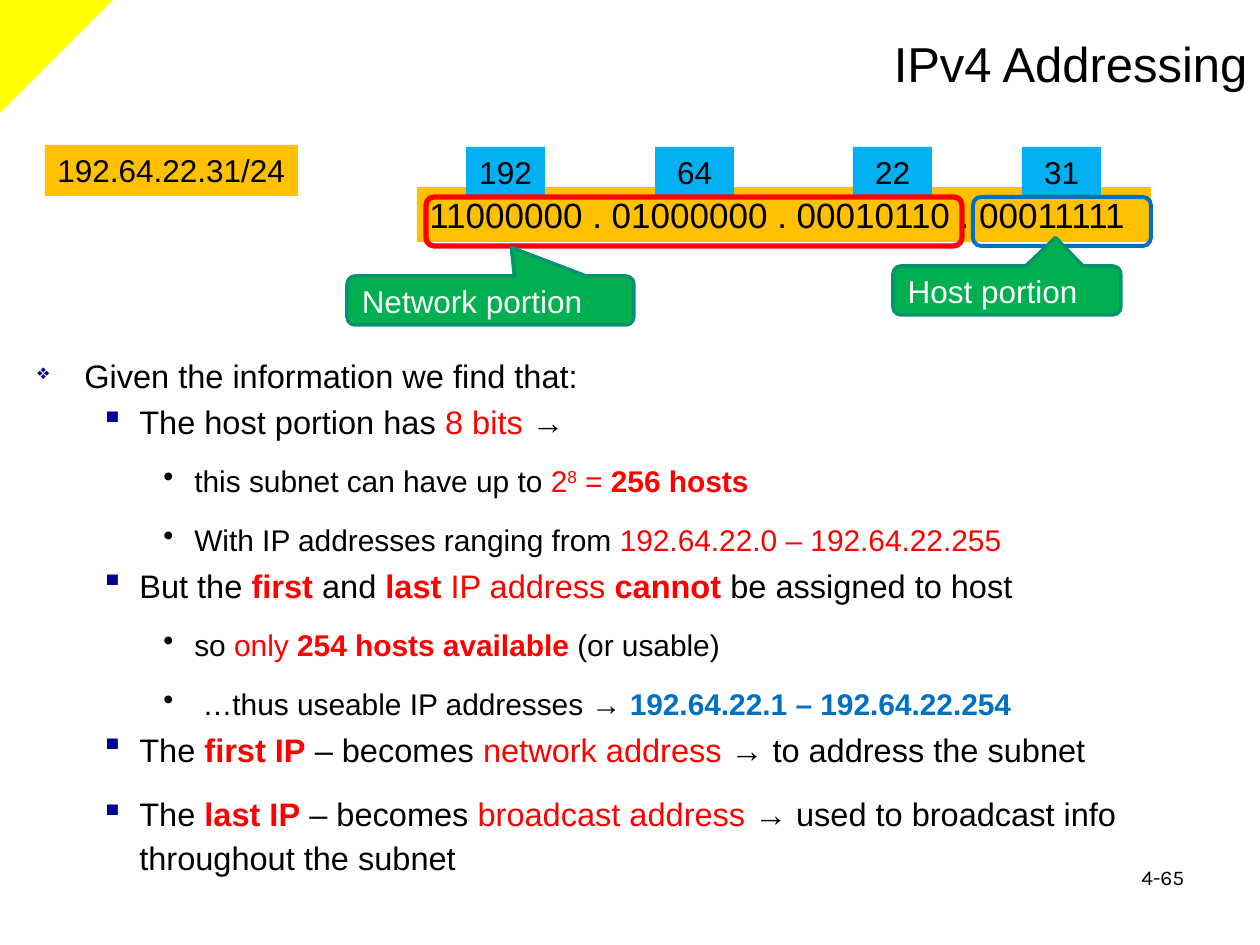
import pptx
import pptx.util
import pptx.dml.color
import pptx.enum.shapes
import pptx.enum.text
import lxml.etree

RGBColor = pptx.dml.color.RGBColor
SHAPE = pptx.enum.shapes.MSO_SHAPE
ALIGN = pptx.enum.text.PP_ALIGN
ANCHOR = pptx.enum.text.MSO_ANCHOR

BLACK = RGBColor(0, 0, 0)
WHITE = RGBColor(255, 255, 255)
RED = RGBColor(255, 0, 0)
BLUE = RGBColor(0x00, 0x70, 0xC0)
SKY = RGBColor(0x00, 0xB0, 0xF0)
NAVY = RGBColor(0, 0, 0x99)
AMBER = RGBColor(0xFF, 0xC0, 0)
YELLOW = RGBColor(255, 255, 0)
GREEN = RGBColor(0x00, 0xB0, 0x50)
TEAL = RGBColor(0x00, 0x94, 0x6F)

PX = 914400 // 126

deck = pptx.Presentation()
deck.slide_width = 1260 * PX
deck.slide_height = 945 * PX
page = deck.slides.add_slide(deck.slide_layouts[5])


def write(box, text, size, color=BLACK, align=ALIGN.LEFT, anchor=ANCHOR.TOP, font="Arial", wrap=True):
    frame = box.text_frame
    frame.word_wrap = wrap
    frame.vertical_anchor = anchor
    para = frame.paragraphs[0]
    para.text = text
    para.alignment = align
    para.font.name = font
    para.font.size = pptx.util.Pt(size)
    para.font.color.rgb = color


def draw(kind, place, fill=None, line=None, width=0):
    shape = page.shapes.add_shape(kind, *[length * PX for length in place])
    shape.shadow.inherit = False
    if fill is None:
        shape.fill.background()
    else:
        shape.fill.solid()
        shape.fill.fore_color.rgb = fill
    if line is None:
        shape.line.fill.background()
    else:
        shape.line.color.rgb = line
        shape.line.width = pptx.util.Pt(width)
    return shape


# Title
title = page.shapes.title
title.left, title.top, title.width, title.height = 620 * PX, 19 * PX, 640 * PX, 87 * PX
title.text_frame.auto_size = pptx.enum.text.MSO_AUTO_SIZE.NONE
write(title, "IPv4 Addressing", 28, align=ALIGN.RIGHT, anchor=ANCHOR.MIDDLE)

# Explanation: level, line spacing, runs of (text, colour, bold)
items = [
    (0, 0.65, [("Given the information we find that:", BLACK, False)]),
    (1, 0.65, [("The host portion has ", BLACK, False), ("8 bits ", RED, False), ("→", BLACK, False)]),
    (2, 1.05, [("this subnet can have up to", BLACK, False), (" 2", RED, False), ("8", RED, False),
               (" = ", RED, False), ("256 hosts", RED, True)]),
    (2, 1.05, [("With IP addresses ranging from ", BLACK, False),
               ("192.64.22.0 – 192.64.22.255", RED, False)]),
    (1, 0.65, [("But the ", BLACK, False), ("first", RED, True), (" and ", BLACK, False),
               ("last", RED, True), (" IP address ", RED, False), ("cannot", RED, True),
               (" be assigned to host", BLACK, False)]),
    (2, 1.05, [("so ", BLACK, False), ("only ", RED, False), ("254 hosts available", RED, True),
               (" (or usable)", BLACK, False)]),
    (2, 1.05, [(" …thus useable IP addresses → ", BLACK, False),
               ("192.64.22.1 – 192.64.22.254", BLUE, True)]),
    (1, 0.65, [("The ", BLACK, False), ("first IP", RED, True), (" – becomes ", BLACK, False),
               ("network address ", RED, False), ("→ to address the subnet", BLACK, False)]),
    (1, 1.14, [("The ", BLACK, False), ("last IP", RED, True), (" – becomes ", BLACK, False),
               ("broadcast address ", RED, False),
               ("→ used to broadcast info throughout the subnet", BLACK, False)]),
]
# Per level: margin px, hanging px, bullet, bullet colour, bullet size %, text size
levels = [
    (47, 47, "❖", NAVY, 65, 18.6),
    (102, 39, "▪", NAVY, 100, 18.6),
    (157, 31, "•", BLACK, 100, 17.1),
]
body = page.shapes.add_textbox(25 * PX, 362 * PX, 1172 * PX, 510 * PX)
body.text_frame.word_wrap = True
for index, (level, spacing, runs) in enumerate(items):
    para = body.text_frame.paragraphs[0] if index == 0 else body.text_frame.add_paragraph()
    margin, hanging, bullet, bullet_color, bullet_size, size = levels[level]
    para.level = level
    properties = para._p.get_or_add_pPr()
    properties.set("marL", str(margin * PX))
    properties.set("indent", str(-hanging * PX))
    for tag, child, value in [("buClr", "srgbClr", str(bullet_color)),
                              ("buSzPct", None, str(bullet_size * 1000)),
                              ("buChar", None, bullet)]:
        element = lxml.etree.SubElement(properties, pptx.oxml.ns.qn("a:" + tag))
        if child:
            element = lxml.etree.SubElement(element, pptx.oxml.ns.qn("a:" + child))
        element.set("char" if tag == "buChar" else "val", value)
    para.line_spacing = spacing
    if index:
        para.space_before = pptx.util.Pt(12)
    para.font.name = "Arial"
    para.font.size = pptx.util.Pt(size)
    for text, color, bold in runs:
        span = para.add_run()
        span.text = text
        span.font.color.rgb = color
        span.font.bold = bold
        if text == "8":
            span._r.get_or_add_rPr().set("baseline", "30000")

# Binary address with its decimal octets
strip = draw(SHAPE.RECTANGLE, (417, 187, 734, 55), AMBER)
write(strip, "11000000 . 01000000 . 00010110 . 00011111", 20)
for left, octet in [(466, "192"), (655, "64"), (853, "22"), (1022, "31")]:
    label = draw(SHAPE.RECTANGLE, (left, 147, 79, 50), SKY)
    write(label, octet, 18, align=ALIGN.CENTER, wrap=False)

# Network and host portions: frame, then callout
portions = [
    ((426, 197, 536, 49), RED, 3, (347, 276, 287, 49), 0.073, "Network portion"),
    ((973, 197, 178, 49), BLUE, 2.25, (893, 266, 228, 49), 0.213, "Host portion"),
]
for frame_place, color, width, callout_place, tip, name in portions:
    draw(SHAPE.ROUNDED_RECTANGLE, frame_place, None, color, width)
    callout = draw(SHAPE.ROUNDED_RECTANGULAR_CALLOUT, callout_place, GREEN, TEAL, 2)
    callout.adjustments[0] = tip
    callout.adjustments[1] = -1.08
    write(callout, name, 18, WHITE, anchor=ANCHOR.MIDDLE)

# Address in prefix notation
address = draw(SHAPE.RECTANGLE, (45, 145, 253, 51), AMBER)
write(address, "192.64.22.31/24", 18, wrap=False)

# Corner triangle
corner = draw(SHAPE.RIGHT_TRIANGLE, (0, 0, 113, 113), YELLOW)
corner.rotation = 90

# Page number
number = page.shapes.add_textbox(1129 * PX, 858 * PX, 100 * PX, 42 * PX)
write(number, "4-65", 12, font="Karla")

deck.save("out.pptx")
